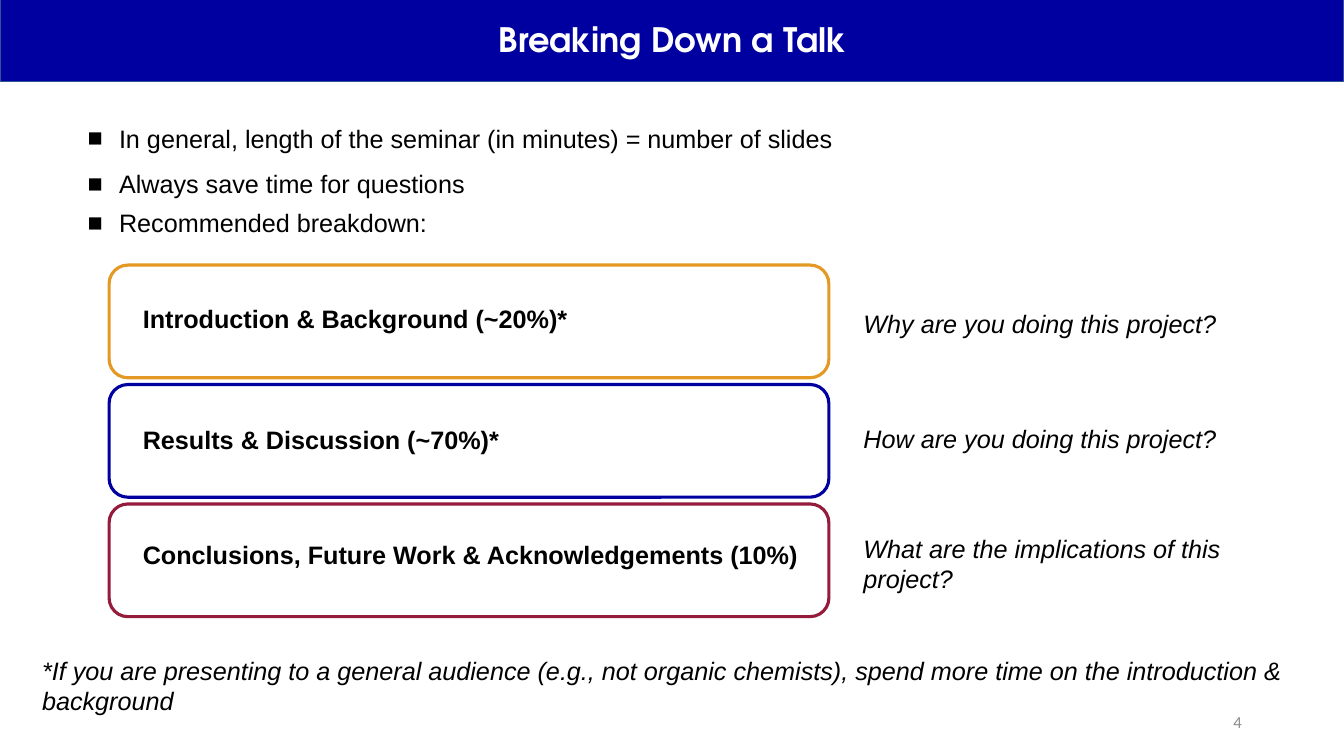
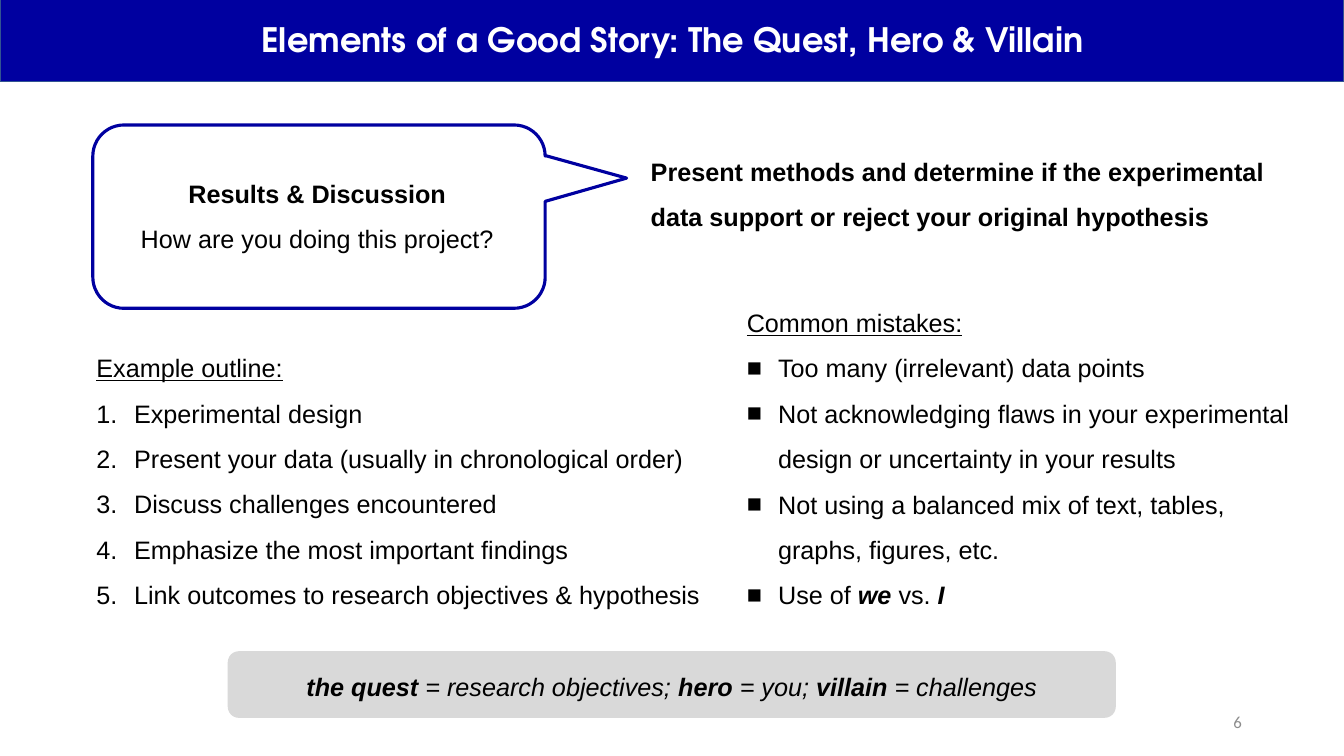
"""Build two slides on structuring a research talk."""
import pptx
import pptx.dml.color
import pptx.enum.shapes
import pptx.enum.text
import pptx.oxml.ns
import pptx.util
import lxml.etree

Cm = pptx.util.Cm
Pt = pptx.util.Pt
SHAPE = pptx.enum.shapes.MSO_SHAPE
ANCHOR = pptx.enum.text.MSO_ANCHOR
ALIGN = pptx.enum.text.PP_ALIGN
FIT = pptx.enum.text.MSO_AUTO_SIZE

COLORS = {
    "blue": "0000A0", "edge": "325491", "orange": "E39924", "red": "951B3C",
    "panel": "D9D9D9", "white": "FFFFFF", "black": "000000", "number": "8C8C8C",
}
BODY = {"name": "Arial", "size": Pt(18)}
TITLE = {"name": "TeX Gyre Adventor", "size": Pt(24), "bold": True}
NUMBER = {"name": "Calibri", "size": Pt(12)}
BOLD = {"bold": True}
ITALIC = {"italic": True}
BOLD_ITALIC = {**BOLD, **ITALIC}
UNDERLINE = {"underline": True}
WIDE = {"line_spacing": 1.5}
CENTERED = {**WIDE, "alignment": ALIGN.CENTER}
NESTED = {**WIDE, "level": 1}
SQUARE = ("buChar", {"char": "■"})
COUNTER = ("buAutoNum", {"type": "arabicPeriod"})


def rgb(name):
    return pptx.dml.color.RGBColor.from_string(COLORS[name])


def apply(obj, fmt):
    for key, value in fmt.items():
        setattr(obj, key, value)


def para(*runs, fmt=None, indent=None, bullet=None):
    """Describe a paragraph; a run is plain text or a (text, format) pair."""
    return {"runs": runs, "fmt": fmt or {}, "indent": indent, "bullet": bullet}


def set_indent(p, left, first, bullet):
    pPr = p._p.get_or_add_pPr()
    pPr.set("marL", str(Cm(left)))
    pPr.set("indent", str(Cm(first)))
    if bullet:
        tag, attrs = bullet
        qn = pptx.oxml.ns.qn
        lxml.etree.SubElement(pPr, qn("a:buFont"), {"typeface": "Arial"})
        lxml.etree.SubElement(pPr, qn(f"a:{tag}"), attrs)


def add_text(shapes, box, paras, font=BODY, color="black", anchor=ANCHOR.TOP, fit=FIT.SHAPE_TO_FIT_TEXT):
    tf = shapes.add_textbox(*map(Cm, box)).text_frame
    apply(tf, {"word_wrap": True, "auto_size": fit, "vertical_anchor": anchor})
    for i, item in enumerate(paras):
        p = tf.add_paragraph() if i else tf.paragraphs[0]
        apply(p, item["fmt"])
        if item["indent"]:
            set_indent(p, *item["indent"], item["bullet"])
        for run in item["runs"]:
            text, fmt = (run, {}) if isinstance(run, str) else run
            r = p.add_run()
            r.text = text
            apply(r.font, {**font, **fmt})
            r.font.color.rgb = rgb(color)


def add_panel(shapes, kind, box, fill=None, line=None, width=2.25):
    sp = shapes.add_shape(kind, *map(Cm, box))
    sp.shadow.inherit = False
    if fill:
        sp.fill.solid()
        sp.fill.fore_color.rgb = rgb(fill)
    else:
        sp.fill.background()
    if line:
        sp.line.color.rgb = rgb(line)
        sp.line.width = Pt(width)
    else:
        sp.line.fill.background()
    return sp


def add_slide(prs, title, number):
    s = prs.slides.add_slide(prs.slide_layouts[6])
    add_text(s.shapes, (23.93, 17.68, 7.62, 1.02), [para(number, fmt={"alignment": ALIGN.RIGHT})],
             NUMBER, "number", ANCHOR.MIDDLE, FIT.NONE)
    add_panel(s.shapes, SHAPE.RECTANGLE, (0, -0.05, 33.87, 2.11), "blue", "edge", 1)
    add_text(s.shapes, (2.34, 0.2, 29.21, 1.7),
             [para(title, fmt={"alignment": ALIGN.CENTER, "line_spacing": 0.9})],
             TITLE, "white", ANCHOR.MIDDLE, FIT.NONE)
    return s.shapes


def bullets(texts, fmt=None):
    return [para(t, fmt=fmt, indent=(0.79, -0.79), bullet=SQUARE) for t in texts]


def nested_list(heading, items, hang, bullet):
    left = 1.27
    return [para((heading, UNDERLINE), fmt=NESTED, indent=(left, 0))] + [
        para(*runs, fmt=NESTED, indent=(left + hang, -hang), bullet=bullet) for runs in items]


def breakdown_slide(prs):
    shapes = add_slide(prs, "Breaking Down a Talk", "4")
    add_text(shapes, (1.96, 2.59, 29.97, 2.41), bullets([
        "In general, length of the seminar (in minutes) = number of slides",
        "Always save time for questions"], WIDE))
    add_text(shapes, (1.96, 5.11, 29.59, 1.02), bullets(["Recommended breakdown:"]))
    add_text(shapes, (0.81, 16.38, 32.23, 1.8), [para((
        "*If you are presenting to a general audience (e.g., not organic chemists), "
        "spend more time on the introduction & background", ITALIC))])
    sections = [
        ("orange", "Introduction & Background (~20%)*", 7.52,
         "Why are you doing this project?", 7.26, WIDE),
        ("blue", "Results & Discussion (~70%)*", 10.57,
         "How are you doing this project?", 10.16, WIDE),
        ("red", "Conclusions, Future Work & Acknowledgements (10%)", 13.46,
         "What are the implications of this project?", 13.31, None),
    ]
    for i, (color, label, label_top, question, question_top, fmt) in enumerate(sections):
        add_panel(shapes, SHAPE.ROUNDED_RECTANGLE, (2.75, 6.68 + 3.01 * i, 18.14, 2.84), "white", color)
        add_text(shapes, (3.35, label_top, 17.55, 1.02), [para((label, BOLD))])
        add_text(shapes, (21.51, question_top, 10.72, 1.27), [para((question, ITALIC), fmt=fmt)])


def story_slide(prs):
    shapes = add_slide(prs, "Elements of a Good Story: The Quest, Hero & Villain", "6")
    add_text(shapes, (2.84, 3.99, 10.31, 2.41), [
        para(("Results & Discussion", BOLD), fmt=CENTERED),
        para("How are you doing this project?", fmt=CENTERED)])
    callout = add_panel(shapes, SHAPE.ROUNDED_RECTANGULAR_CALLOUT, (2.34, 3.15, 11.4, 4.62), line="blue")
    for i, value in enumerate((0.68, -0.21, 0.17)):
        callout.adjustments[i] = value
    add_text(shapes, (16.15, 3.43, 16.38, 2.41), [para((
        "Present methods and determine if the experimental data support "
        "or reject your original hypothesis", BOLD), fmt=WIDE)])
    add_text(shapes, (17.3, 7.24, 15.65, 8.2), nested_list("Common mistakes:", [
        ["Too many (irrelevant) data points"],
        ["Not acknowledging flaws in your experimental design or uncertainty in your results"],
        ["Not using a balanced mix of text, tables, graphs, figures, etc."],
        ["Use of ", ("we", BOLD_ITALIC), " vs. ", ("I", BOLD_ITALIC)],
    ], 0.79, SQUARE))
    add_text(shapes, (0.91, 8.38, 17.32, 7.04), nested_list("Example outline:", [
        ["Experimental design"],
        ["Present your data (usually in chronological order)"],
        ["Discuss challenges encountered"],
        ["Emphasize the most important findings"],
        ["Link outcomes to research objectives & hypothesis"],
    ], 0.95, COUNTER))
    summary = shapes.add_group_shape().shapes
    add_panel(summary, SHAPE.ROUNDED_RECTANGLE, (5.74, 16.41, 22.38, 1.68), "panel")
    add_text(summary, (3.02, 16.41, 27.81, 1.27), [para(
        ("the quest", BOLD), " = research objectives; ", ("hero", BOLD), " = you; ",
        ("villain ", BOLD), "= challenges", fmt=CENTERED)], {**BODY, **ITALIC})


def main():
    prs = pptx.Presentation()
    apply(prs, {"slide_width": Cm(33.87), "slide_height": Cm(19.05)})
    breakdown_slide(prs)
    story_slide(prs)
    prs.save("out.pptx")


if __name__ == "__main__":
    main()
